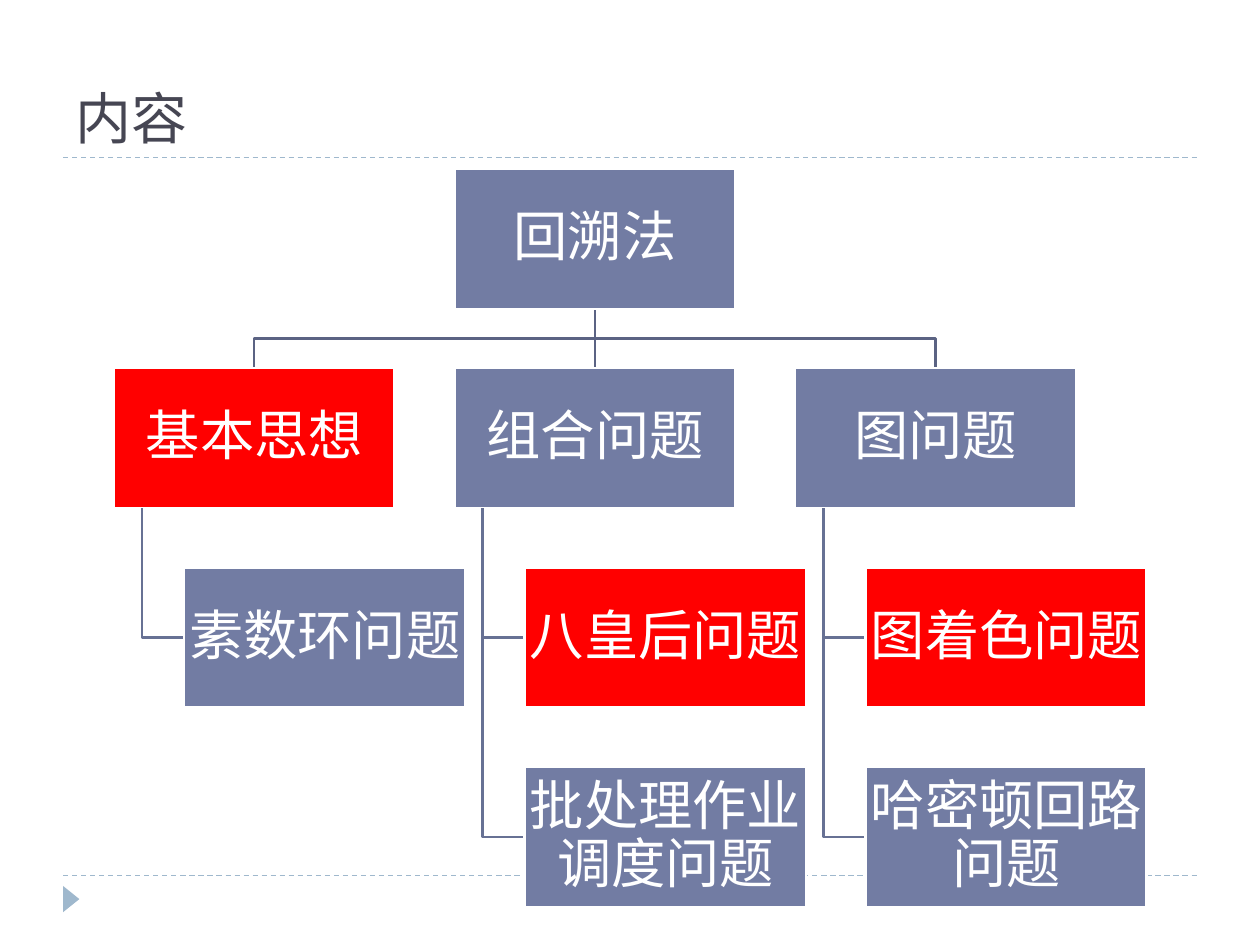
from dataclasses import dataclass

from lxml.etree import SubElement
from pptx import Presentation
from pptx.dml.color import RGBColor as Rgb
from pptx.enum.dml import MSO_LINE_DASH_STYLE as Dash
from pptx.enum.shapes import MSO_CONNECTOR as Connector, MSO_SHAPE as Shape
from pptx.enum.text import MSO_ANCHOR as Anchor, MSO_AUTO_SIZE as AutoSize, PP_ALIGN as Align
from pptx.oxml.ns import qn
from pptx.util import Cm, Pt


@dataclass(frozen=True)
class Theme:
    title_color: Rgb = Rgb.from_string("464653")
    accent: Rgb = Rgb.from_string("9FB8CD")
    node: Rgb = Rgb.from_string("727CA3")
    highlight: Rgb = Rgb.from_string("FF0000")
    white: Rgb = Rgb.from_string("FFFFFF")
    trunk: Rgb = Rgb.from_string("5B6383")
    twig: Rgb = Rgb.from_string("677194")
    title_font: str = "TeX Gyre Bonum"
    node_font: str = "Cabin"
    title_size: Pt = Pt(32)
    node_size: Pt = Pt(31)
    line_width: Pt = Pt(1.5)
    rule_width: Pt = Pt(0.75)


THEME = Theme()

# Each branch: its heading, then its topics; True marks a highlighted node
ROOT = ("回溯法", False)
BRANCHES = [
    (("基本思想", True), [("素数环问题", False)]),
    (("组合问题", False), [("八皇后问题", True), ("批处理作业调度问题", False)]),
    (("图问题", False), [("图着色问题", True), ("哈密顿回路问题", False)]),
]

# Tree measures
NODE_WIDTH, NODE_HEIGHT = Cm(5.67), Cm(2.83)
COLUMN_STEP, ROW_STEP = Cm(6.87), Cm(4.02)
TOPIC_INDENT, STEM_INDENT = Cm(1.42), Cm(0.57)
BUS_DROP = Cm(0.6)


def add_text(para, text, font, size, color):
    span = para.add_run()
    span.text = text
    span.font.name = font
    span.font.size = size
    span.font.color.rgb = color


def add_line(page, start, end, color, width):
    line = page.shapes.add_connector(Connector.STRAIGHT, *start, *end)
    line.line.color.rgb = color
    line.line.width = width
    SubElement(line.element.spPr, qn("a:effectLst"))
    return line


def add_path(page, points, color):
    builder = page.shapes.build_freeform(*points[0])
    builder.add_line_segments(points[1:], close=False)
    outline = builder.convert_to_shape()
    outline.shadow.inherit = False
    outline.fill.background()
    outline.line.color.rgb = color
    outline.line.width = THEME.line_width


def add_node(page, left, top, label, highlighted):
    box = page.shapes.add_shape(Shape.RECTANGLE, left, top, NODE_WIDTH, NODE_HEIGHT)
    box.shadow.inherit = False
    box.fill.solid()
    box.fill.fore_color.rgb = THEME.highlight if highlighted else THEME.node
    box.line.color.rgb = THEME.white
    box.line.width = THEME.line_width
    frame = box.text_frame
    frame.word_wrap = True
    frame.vertical_anchor = Anchor.MIDDLE
    frame.margin_left = frame.margin_right = Cm(0.05)
    frame.margin_top = frame.margin_bottom = Cm(0.05)
    para = frame.paragraphs[0]
    para.alignment = Align.CENTER
    para.line_spacing = 0.9
    add_text(para, label, THEME.node_font, THEME.node_size, THEME.white)


def add_title(page, left, top, width, height):
    title = page.shapes.title
    title.left, title.top, title.width, title.height = left, top, width, height
    frame = title.text_frame
    frame.auto_size = AutoSize.NONE
    frame.word_wrap = True
    frame.vertical_anchor = Anchor.BOTTOM
    para = frame.paragraphs[0]
    para.alignment = Align.LEFT
    add_text(para, "内容", THEME.title_font, THEME.title_size, THEME.title_color)


def add_frame(page, left, top, width, height):
    # Dashed rules above and below the content
    for level in (top, top + height):
        rule = add_line(page, (left, level), (left + width, level),
                        THEME.accent, THEME.rule_width)
        rule.line.dash_style = Dash.DASH
    # Footer marker pointing right
    marker = page.shapes.add_shape(Shape.ISOSCELES_TRIANGLE, left - Cm(0.1),
                                   top + height + Cm(0.31), Cm(0.53), Cm(0.33))
    marker.rotation = 90
    marker.shadow.inherit = False
    marker.fill.solid()
    marker.fill.fore_color.rgb = THEME.accent
    marker.line.fill.background()


def add_branch(page, left, top, heading, topics):
    stem = left + STEM_INDENT
    topic_left = left + TOPIC_INDENT
    add_node(page, left, top, *heading)
    for row, topic in enumerate(topics, start=1):
        topic_top = top + row * ROW_STEP
        middle = topic_top + NODE_HEIGHT // 2
        add_path(page, [(stem, top + NODE_HEIGHT), (stem, middle), (topic_left, middle)],
                 THEME.twig)
        add_node(page, topic_left, topic_top, *topic)


def add_tree(page, left, top):
    root_left = left + COLUMN_STEP * (len(BRANCHES) // 2)
    root_center = root_left + NODE_WIDTH // 2
    root_bottom = top + NODE_HEIGHT
    bus = root_bottom + BUS_DROP
    branch_top = top + ROW_STEP
    for column, (heading, topics) in enumerate(BRANCHES):
        branch_left = left + column * COLUMN_STEP
        center = branch_left + NODE_WIDTH // 2
        if center == root_center:
            add_line(page, (center, root_bottom), (center, branch_top),
                     THEME.trunk, THEME.line_width)
        else:
            add_path(page, [(root_center, root_bottom), (root_center, bus),
                            (center, bus), (center, branch_top)], THEME.trunk)
        add_branch(page, branch_left, branch_top, heading, topics)
    add_node(page, root_left, top, *ROOT)


def main():
    deck = Presentation()
    deck.slide_width, deck.slide_height = Cm(25.4), Cm(19.05)
    page = deck.slides.add_slide(deck.slide_layouts[5])
    add_title(page, Cm(1.27), Cm(0.43), Cm(22.86), Cm(2.74))
    add_frame(page, Cm(1.27), Cm(3.17), Cm(22.86), Cm(14.48))
    add_tree(page, Cm(2.29), Cm(3.4))
    deck.save("out.pptx")


if __name__ == "__main__":
    main()
